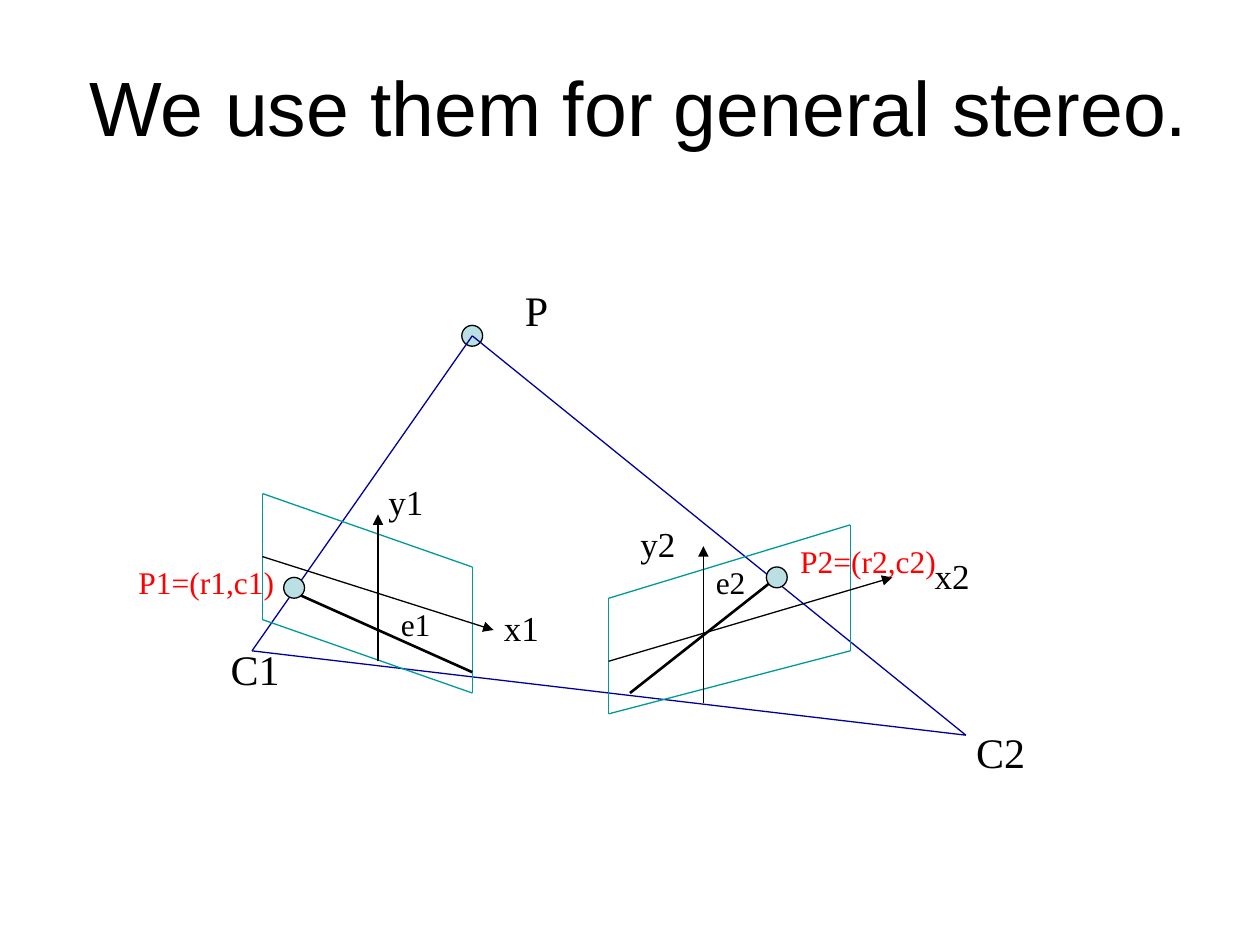
import pptx
import pptx.dml.color
import pptx.enum.shapes
import pptx.enum.text
import pptx.oxml.ns
import pptx.util
from lxml import etree
from pptx.util import Cm

RGBColor = pptx.dml.color.RGBColor
BLACK = RGBColor(0x00, 0x00, 0x00)
RED = RGBColor(0xFF, 0x00, 0x00)
NAVY = RGBColor(0x00, 0x00, 0x99)
TEAL = RGBColor(0x00, 0x99, 0x99)
PALE_BLUE = RGBColor(0xBB, 0xE0, 0xE3)

# Points are (x, y) in centimetres.
P, C1, C2 = (9.52, 6.77), (5.08, 13.12), (19.47, 14.82)
P1, P2 = (5.93, 11.85), (15.66, 11.64)
IMAGE_PLANES = [
    [(5.29, 9.95), (9.52, 11.43), (9.52, 13.97), (5.29, 12.49)],
    [(12.27, 12.06), (17.14, 10.58), (17.14, 13.12), (12.27, 14.39)],
]
EPIPOLAR_LINES = [((5.72, 11.85), (9.52, 13.55)), ((12.7, 13.97), P2)]
AXES = [
    ((5.29, 11.22), (9.95, 12.7)),
    ((12.27, 13.33), (17.99, 11.64)),
    ((7.62, 13.33), (7.62, 10.37)),
    ((14.18, 14.18), (14.18, 11.01)),
]
# Text, left, top, width, font size, colour
LABELS = [
    ("P", 10.33, 5.62, 0.98, 24, BLACK),
    ("P1=(r1,c1)", 2.54, 11.22, 3.26, 18, RED),
    ("P2=(r2,c2)", 15.88, 10.8, 3.26, 18, RED),
    ("y1", 7.58, 9.57, 1.23, 20, BLACK),
    ("y2", 12.66, 10.41, 1.23, 20, BLACK),
    ("x1", 9.91, 12.11, 1.23, 20, BLACK),
    ("x2", 18.59, 11.05, 1.23, 20, BLACK),
    ("e1", 7.83, 12.07, 1.13, 18, BLACK),
    ("e2", 14.18, 11.22, 1.13, 18, BLACK),
    ("C1", 4.4, 12.84, 1.51, 24, BLACK),
    ("C2", 19.43, 14.52, 1.51, 24, BLACK),
]
LABEL_HEIGHTS = {18: 1.02, 20: 1.12, 24: 1.27}


def add_run(p, text, font, size, color):
    r = p.add_run()
    r.text = text
    r.font.name = font
    r.font.size = pptx.util.Pt(size)
    r.font.color.rgb = color


def set_title(s, text):
    sp = s.shapes.title
    sp.left, sp.top, sp.width, sp.height = Cm(0.89), Cm(0.14), Cm(24), Cm(3.99)
    tf = sp.text_frame
    tf.auto_size = pptx.enum.text.MSO_AUTO_SIZE.NONE
    tf.vertical_anchor = pptx.enum.text.MSO_ANCHOR.MIDDLE
    p = tf.paragraphs[0]
    p.alignment = pptx.enum.text.PP_ALIGN.CENTER
    add_run(p, text, "Arial", 44, BLACK)


def add_line(s, start, end, color, width=0.75, arrow=False):
    ends = [Cm(v) for v in (*start, *end)]
    sp = s.shapes.add_connector(pptx.enum.shapes.MSO_CONNECTOR.STRAIGHT, *ends)
    sp.line.color.rgb = color
    sp.line.width = pptx.util.Pt(width)
    qn = pptx.oxml.ns.qn
    if arrow:
        ln = sp.line._get_or_add_ln()
        etree.SubElement(ln, qn("a:tailEnd"), type="triangle")
    etree.SubElement(sp._element.spPr, qn("a:effectLst"))


def add_dot(s, center, diameter=0.42):
    x, y = center
    sp = s.shapes.add_shape(
        pptx.enum.shapes.MSO_SHAPE.OVAL,
        Cm(x - diameter / 2), Cm(y - diameter / 2), Cm(diameter), Cm(diameter))
    sp.shadow.inherit = False
    sp.fill.solid()
    sp.fill.fore_color.rgb = PALE_BLUE
    sp.line.color.rgb = BLACK
    sp.line.width = pptx.util.Pt(0.75)


def add_label(s, text, left, top, width, size, color):
    sp = s.shapes.add_textbox(
        Cm(left), Cm(top), Cm(width), Cm(LABEL_HEIGHTS[size]))
    tf = sp.text_frame
    tf.word_wrap = False
    tf.auto_size = pptx.enum.text.MSO_AUTO_SIZE.SHAPE_TO_FIT_TEXT
    add_run(tf.paragraphs[0], text, "Times New Roman", size, color)


def main():
    prs = pptx.Presentation()
    prs.slide_width, prs.slide_height = Cm(25.4), Cm(19.05)
    s = prs.slides.add_slide(prs.slide_layouts[5])
    set_title(s, "We use them for general stereo.")

    add_dot(s, P)
    for start, end in ((C1, P), (P, C2), (C1, C2)):
        add_line(s, start, end, NAVY)
    for corners in IMAGE_PLANES:
        for start, end in zip(corners, corners[1:] + corners[:1]):
            add_line(s, start, end, TEAL)
    for start, end in EPIPOLAR_LINES:
        add_line(s, start, end, BLACK, width=1.5)
    for start, end in AXES:
        add_line(s, start, end, BLACK, arrow=True)
    for center in (P1, P2):
        add_dot(s, center)
    for label in LABELS:
        add_label(s, *label)

    prs.save("out.pptx")


if __name__ == "__main__":
    main()
